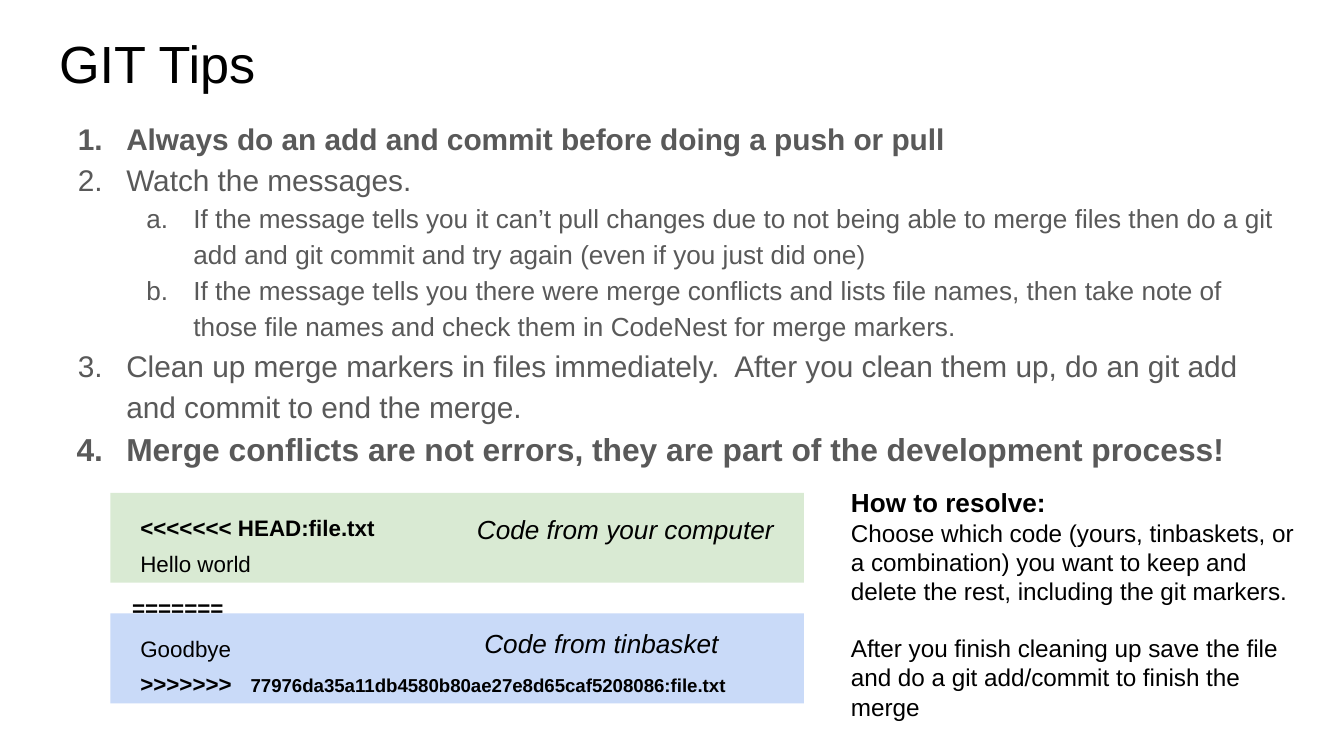
import pptx
import pptx.util
import pptx.dml.color
import pptx.enum.shapes
import pptx.enum.text
import pptx.oxml.ns
import lxml.etree

BLACK = pptx.dml.color.RGBColor(0x00, 0x00, 0x00)
GRAY = pptx.dml.color.RGBColor(0x59, 0x59, 0x59)
GREEN = pptx.dml.color.RGBColor(0xD9, 0xEA, 0xD3)
BLUE = pptx.dml.color.RGBColor(0xC9, 0xDA, 0xF8)

presentation = pptx.Presentation()
presentation.slide_width = pptx.util.Inches(10)
presentation.slide_height = presentation.slide_width * 9 // 16
slide = presentation.slides.add_slide(presentation.slide_layouts[6])
COLUMN = presentation.slide_width / 100
ROW = presentation.slide_height / 100


def add_frame(left, top, width, height, fill=None):
    place = [int(left * COLUMN), int(top * ROW), int(width * COLUMN), int(height * ROW)]
    if fill is None:
        shape = slide.shapes.add_textbox(*place)
    else:
        shape = slide.shapes.add_shape(pptx.enum.shapes.MSO_SHAPE.RECTANGLE, *place)
        shape.shadow.inherit = False
        shape.fill.solid()
        shape.fill.fore_color.rgb = fill
        shape.line.fill.background()
    frame = shape.text_frame
    frame.word_wrap = True
    frame.vertical_anchor = pptx.enum.text.MSO_ANCHOR.TOP
    frame.margin_left = frame.margin_right = int(COLUMN)
    frame.margin_top = frame.margin_bottom = int(COLUMN)
    return frame


def write(text, frame, size, color=BLACK, bold=False, italic=False, join=False, level=0,
          margin=0, hanging=0, line_spacing=1.0, space_before=0, numbering=None, tracking=0):
    if frame.text and not join:
        frame.add_paragraph()
    paragraph = frame.paragraphs[-1]
    if not join:
        paragraph.alignment = pptx.enum.text.PP_ALIGN.LEFT
        paragraph.level = level
        paragraph.line_spacing = line_spacing
        paragraph.space_before = pptx.util.Pt(space_before)
        properties = paragraph._p.get_or_add_pPr()
        properties.set("marL", str(int(margin * COLUMN)))
        properties.set("indent", str(int(-hanging * COLUMN)))
        if numbering:
            qualified = pptx.oxml.ns.qn
            bullet_color = lxml.etree.SubElement(properties, qualified("a:buClr"))
            lxml.etree.SubElement(bullet_color, qualified("a:srgbClr"), val=str(color))
            lxml.etree.SubElement(properties, qualified("a:buAutoNum"), type=numbering)
    run = paragraph.add_run()
    run.text = text
    run.font.name = "Arial"
    run.font.size = pptx.util.Pt(size)
    run.font.bold = bold
    run.font.italic = italic
    run.font.color.rgb = color
    if tracking:
        run._r.get_or_add_rPr().set("spc", str(tracking))


title = add_frame(3.41, 2.3, 93.2, 11.2)
write("GIT Tips", title, 28)

tips = add_frame(3.41, 13.5, 93.2, 49.3)
for text, level, size, bold, hanging in [
    ("Always do an add and commit before doing a push or pull", 0, 16, True, 3.6),
    ("Watch the messages.", 0, 16, False, 3.6),
    ("If the message tells you it can’t pull changes due to not being able to merge files "
     "then do a git add and git commit and try again (even if you just did one)",
     1, 14, False, 3.5),
    ("If the message tells you there were merge conflicts and lists file names, then take "
     "note of those file names and check them in CodeNest for merge markers.",
     1, 14, False, 3.5),
    ("Clean up merge markers in files immediately.  After you clean them up, do an git add "
     "and commit to end the merge.", 0, 16, False, 3.6),
    ("Merge conflicts are not errors, they are part of the development process!",
     0, 17, True, 3.7),
]:
    write(text, tips, size, GRAY, bold, level=level, margin=5 * (level + 1), hanging=hanging,
          line_spacing=1.15, numbering=["arabicPeriod", "alphaLcPeriod"][level])

CODE = {"size": 12, "margin": 1.24, "line_spacing": 1.31}
separator = add_frame(7.14, 75.75, 48.5, 7.1)
write("=======", separator, 12, bold=True, margin=1.7, line_spacing=1.31)

local_code = add_frame(8.22, 65.2, 51.6, 11.9, GREEN)
write("<<<<<<< HEAD:file.txt", local_code, bold=True, **CODE)
write("Hello world", local_code, **CODE)

remote_code = add_frame(8.22, 81.15, 51.6, 11.9, BLUE)
write("Goodbye", remote_code, **CODE)
write(">>>>>>>", remote_code, bold=True, **CODE)
write(" ", remote_code, 12, bold=True, join=True, tracking=667)
write("77976da35a11db4580b80ae27e8d65caf5208086:file.txt", remote_code, 10, bold=True, join=True)

for text, left, top in [
    ("Code from your computer", 34.5, 66.15),
    ("Code from tinbasket", 35.05, 81.2),
]:
    write(text, add_frame(left, top, 24.2, 7.8), 14, italic=True)

advice = add_frame(62.33, 62.6, 35.7, 35.1)
write("How to resolve:", advice, 14, bold=True)
write("Choose which code (yours, tinbaskets, or a combination) you want to keep and delete "
      "the rest, including the git markers.", advice, 13)
write("After you finish cleaning up save the file and do a git add/commit to finish the merge",
      advice, 13, space_before=15)

presentation.save("out.pptx")
